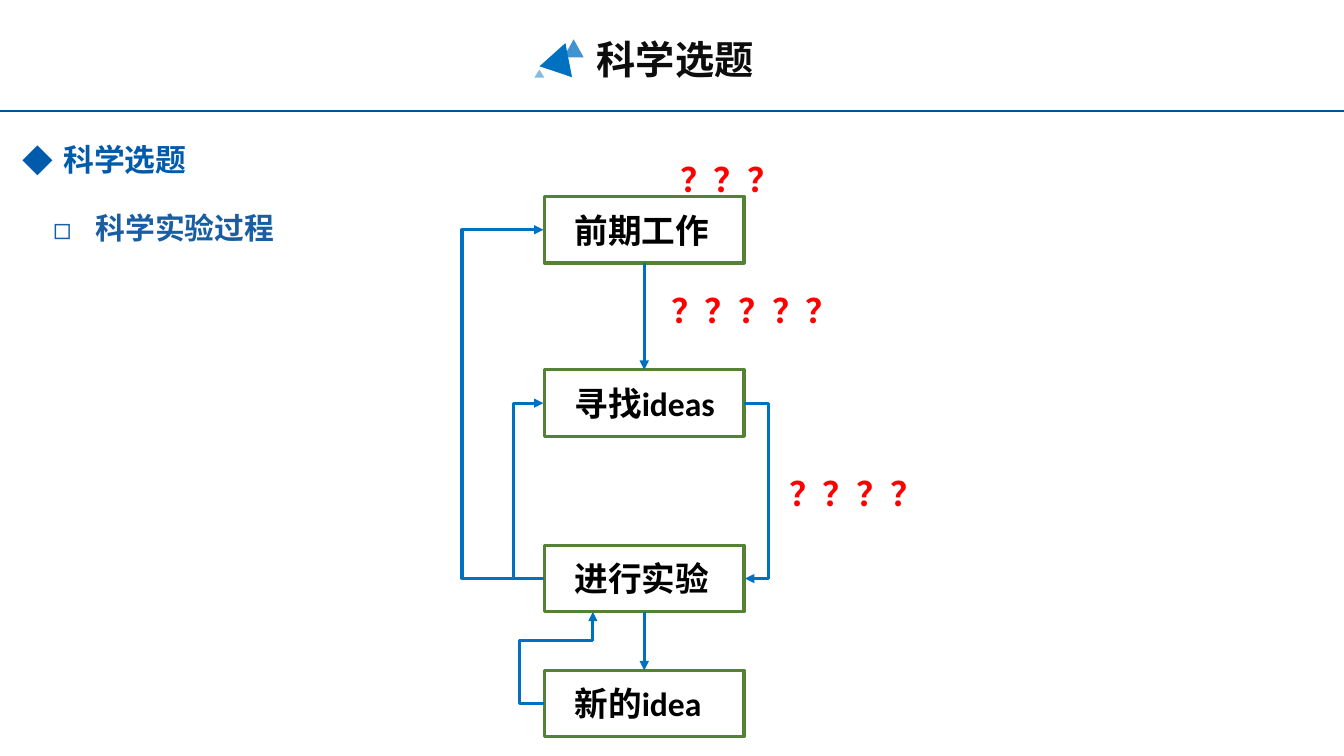
"""Slide showing the loop of a scientific experiment as a flow chart."""
from lxml import etree
from pptx import Presentation
from pptx.dml.color import RGBColor
from pptx.enum import shapes, text
from pptx.oxml import ns
from pptx.util import Inches, Pt

NAVY = RGBColor(0x00, 0x54, 0x90)
HEADING = RGBColor(0x00, 0x5B, 0xAC)
SUBHEADING = RGBColor(0x19, 0x5E, 0xA3)
BLUE = RGBColor(0x00, 0x70, 0xC0)
GREEN = RGBColor(0x54, 0x82, 0x35)
RED = RGBColor(0xFF, 0x00, 0x00)
BLACK = RGBColor(0x00, 0x00, 0x00)
INK = RGBColor(0x0D, 0x0D, 0x0D)
CJK_FONT = "Noto Sans CJK SC"

deck = Presentation()
deck.slide_width, deck.slide_height = Inches(13.33), Inches(7.5)
page = deck.slides.add_slide(deck.slide_layouts[6])


def add_text(words, left, top, width, height, size, color, font="Calibri", bullet=None, indent=0):
    box = page.shapes.add_textbox(Inches(left), Inches(top), Inches(width), Inches(height))
    box.text_frame.word_wrap = True
    para = box.text_frame.paragraphs[0]
    if bullet:
        props = para._p.get_or_add_pPr()
        props.set("marL", str(Inches(indent)))
        props.set("indent", str(-Inches(indent)))
        etree.SubElement(props, ns.qn("a:buFont")).set("typeface", CJK_FONT)
        etree.SubElement(props, ns.qn("a:buChar")).set("char", bullet)
    span = para.add_run()
    span.text = words
    span.font.size, span.font.bold, span.font.name = Pt(size), True, font
    span.font.color.rgb = color
    east_asian = etree.SubElement(span._r.get_or_add_rPr(), ns.qn("a:ea"))
    east_asian.set("typeface", CJK_FONT)
    return para


def add_line(start, end, color=BLUE, width=2.25, arrow=True, bends=()):
    kind = shapes.MSO_CONNECTOR.ELBOW if bends else shapes.MSO_CONNECTOR.STRAIGHT
    line = page.shapes.add_connector(kind, *map(Inches, (*start, *end)))
    line.line.color.rgb, line.line.width = color, Pt(width)
    props = line._element.spPr
    etree.SubElement(props, ns.qn("a:effectLst"))
    if arrow:
        etree.SubElement(line.line._get_or_add_ln(), ns.qn("a:tailEnd")).set("type", "triangle")
    if bends:
        geometry = props.find(ns.qn("a:prstGeom"))
        geometry.set("prst", f"bentConnector{len(bends) + 2}")
        guides = geometry.find(ns.qn("a:avLst"))
        for number, (bend, first, last) in enumerate(zip(bends, start, end), 1):
            guide = etree.SubElement(guides, ns.qn("a:gd"))
            guide.set("name", f"adj{number}")
            guide.set("fmla", f"val {round((bend - first) / (last - first) * 100000)}")


add_line((0, 1.1), (13.33, 1.1), NAVY, 1.5, arrow=False)
add_text("科学选题", 5.82, 0.3, 3.02, 0.57, 28, INK, CJK_FONT)

heading = add_text("科学选题", 0.13, 1.32, 12.76, 0.52, 22, HEADING, CJK_FONT, "◆", 0.4)
heading.alignment = text.PP_ALIGN.JUSTIFY
heading.line_spacing = Pt(28)
subheading = add_text("科学实验过程", 0.43, 1.94, 11.04, 1.06, 21.3, SUBHEADING, CJK_FONT, "◻", 0.42)
subheading.line_spacing = 1.25

for left, top, width, height, turn, opacity in (
    (5.59, 0.39, 0.2, 0.18, 0, 75),
    (5.39, 0.42, 0.34, 0.3, 18.5, 100),
    (5.3, 0.69, 0.1, 0.08, 0, 47),
):
    triangle = page.shapes.add_shape(
        shapes.MSO_SHAPE.ISOSCELES_TRIANGLE, *map(Inches, (left, top, width, height)))
    triangle.shadow.inherit = False
    triangle.rotation = turn
    triangle.fill.solid()
    triangle.fill.fore_color.rgb = BLUE
    triangle.line.fill.background()
    if opacity < 100:
        shade = triangle._element.spPr.find(ns.qn("a:solidFill"))[0]
        etree.SubElement(shade, ns.qn("a:alpha")).set("val", str(opacity * 1000))

LEFT, WIDTH, HEIGHT = 5.4, 1.98, 0.66
RIGHT, CENTER = LEFT + WIDTH, LEFT + WIDTH / 2
EARLIER, SEARCH, EXPERIMENT, FRESH = 1.95, 3.67, 5.41, 6.65
for label, top in (("前期工作", EARLIER), ("寻找ideas", SEARCH), ("进行实验", EXPERIMENT), ("新的idea", FRESH)):
    step = page.shapes.add_shape(
        shapes.MSO_SHAPE.RECTANGLE, *map(Inches, (LEFT, top, WIDTH, HEIGHT)))
    step.shadow.inherit = False
    step.fill.background()
    step.line.color.rgb, step.line.width = GREEN, Pt(2.25)
    add_text(label, 5.6, top + 0.08, 1.78, 0.5, 24, BLACK)

for upper, lower in ((EARLIER, SEARCH), (EXPERIMENT, FRESH)):
    add_line((CENTER, upper + HEIGHT), (CENTER, lower))

MIDDLE = HEIGHT / 2
for edge, nudge, source, target, bend in (
    (RIGHT, 0.01, SEARCH, EXPERIMENT, 7.63),
    (LEFT, -0.01, EXPERIMENT, SEARCH, 5.09),
    (LEFT, -0.01, EXPERIMENT, EARLIER, 4.57),
):
    add_line((edge, source + MIDDLE), (edge + nudge, target + MIDDLE), bends=(bend,))
add_line((LEFT, FRESH + MIDDLE), (5.88, EXPERIMENT + HEIGHT), bends=(5.15, 6.35))

for marks, left, top in ((3, 6.65, 1.53), (5, 6.56, 2.83), (4, 7.73, 4.64)):
    add_text("？" * marks, left, top, 1.9, 0.5, 24, RED)

deck.save("out.pptx")
